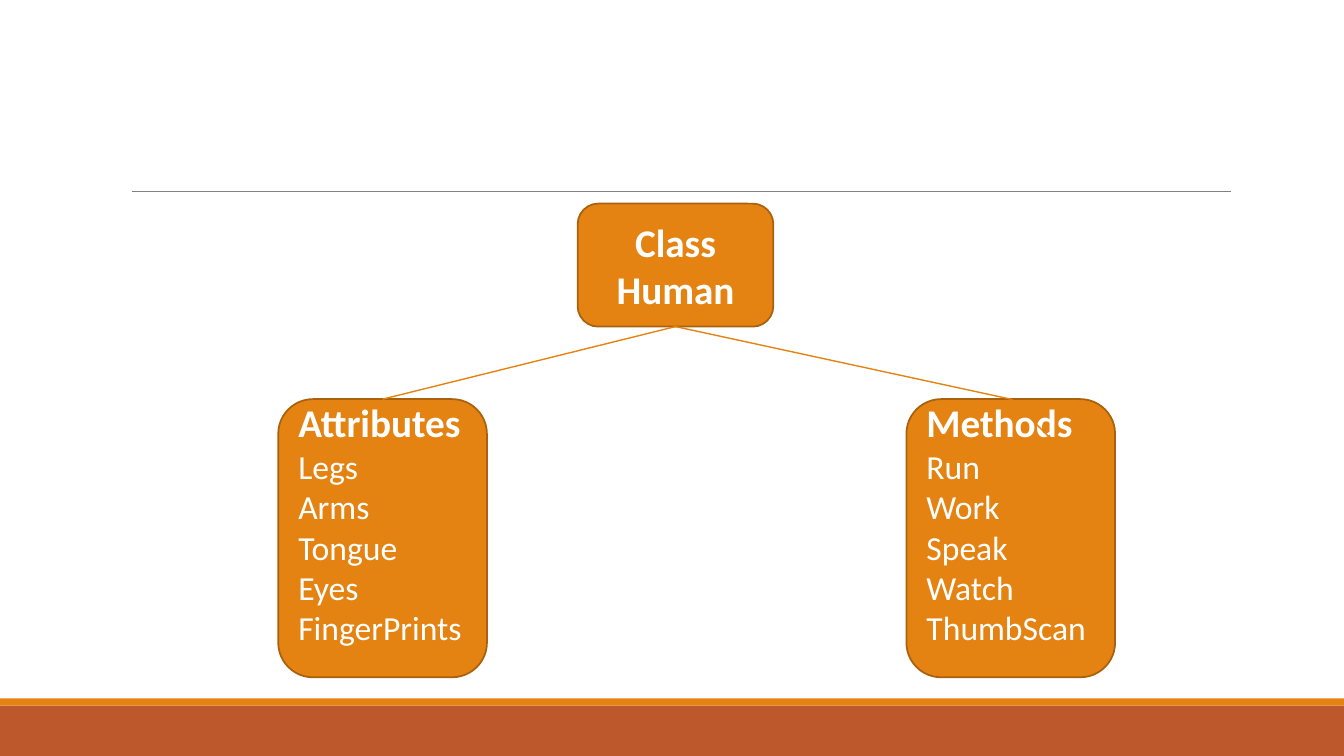
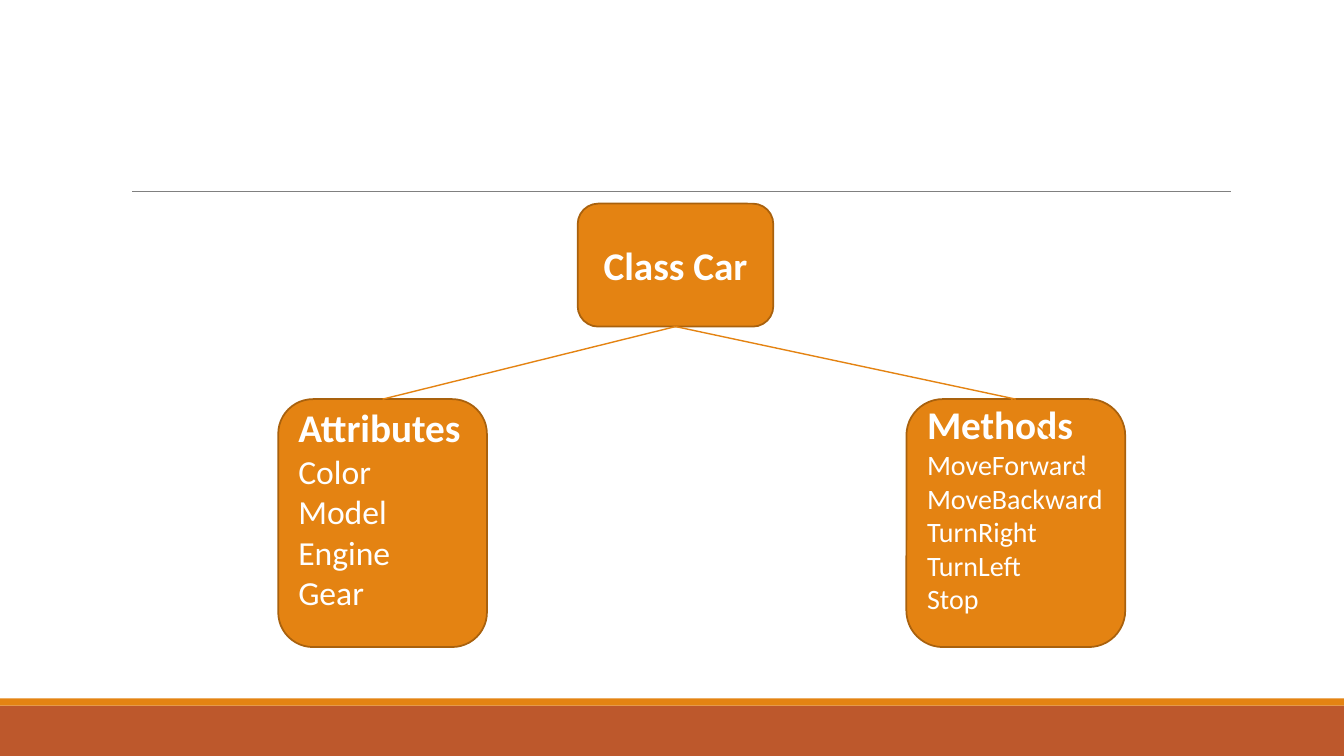
from lxml.etree import SubElement
from pptx import Presentation
from pptx.dml.color import RGBColor
from pptx.enum.shapes import MSO_CONNECTOR as Link, MSO_SHAPE as Preset
from pptx.enum.text import MSO_ANCHOR as Anchor, PP_ALIGN as Align
from pptx.oxml.ns import qn
from pptx.util import Inches, Pt

CLASSES = [
    {"name": "Class Human", "height": 2.76, "members": [
        ("Attributes", ["Legs", "Arms", "Tongue", "Eyes", "FingerPrints"], 2.07, 24),
        ("Methods", ["Run", "Work", "Speak", "Watch", "ThumbScan"], 2.07, 24)]},
    {"name": "Class Car", "height": 2.46, "members": [
        ("Attributes", ["Color", "Model", "Engine", "Gear"], 2.07, 24),
        ("Methods", ["MoveForward", "MoveBackward", "TurnRight", "TurnLeft", "Stop"], 2.17, 20)]},
]

ORANGE = RGBColor(0xE4, 0x83, 0x12)
OUTLINE = RGBColor(0xA9, 0x61, 0x0D)
RUST = RGBColor(0xBD, 0x58, 0x2C)
GRAY = RGBColor(0x80, 0x80, 0x80)
WHITE = RGBColor(0xFF, 0xFF, 0xFF)

FONT = "Calibri"
HEADING_SIZE = 28
SLIDE_W, SLIDE_H = 13.33, 7.5
FOOTER_TOP, STRIPE_H = 7, 0.07
CLASS_BOX = (5.73, 2.02, 1.94, 1.22)
MEMBER_LEFTS = (2.76, 8.99)
MEMBER_TOP = 3.96
MEMBER_BOTTOM_INSET = 0.35
TOP_SITE, BOTTOM_SITE = 0, 2
STRAY_LINE = (10.03, 3.96, 11.03, 4.96)


def add_block(slide, preset, box, fill, outline=None):
    block = slide.shapes.add_shape(preset, *map(Inches, box))
    block.shadow.inherit = False
    block.fill.solid()
    block.fill.fore_color.rgb = fill
    if outline is None:
        block.line.fill.background()
    else:
        block.line.color.rgb = outline
        block.line.width = Pt(1.25)
    return block


def add_line(slide, ends, color=ORANGE, width=1):
    line = slide.shapes.add_connector(Link.STRAIGHT, *map(Inches, ends))
    line.line.color.rgb = color
    line.line.width = Pt(width)
    SubElement(line.element.spPr, qn("a:effectLst"))
    return line


def add_box(slide, box, heading, items=(), item_size=24, align=Align.LEFT):
    rounded = add_block(slide, Preset.ROUNDED_RECTANGLE, box, ORANGE, OUTLINE)
    frame = rounded.text_frame
    frame.word_wrap = True
    frame.vertical_anchor = Anchor.MIDDLE
    if items:
        frame.margin_bottom = Inches(MEMBER_BOTTOM_INSET)
    frame.text = "\n".join([heading, *items])
    for row, paragraph in enumerate(frame.paragraphs):
        paragraph.alignment = align
        paragraph.font.name = FONT
        paragraph.font.size = Pt(item_size if row else HEADING_SIZE)
        paragraph.font.bold = row == 0
        paragraph.font.color.rgb = WHITE
    return rounded


def decorate_layout(layout, slide):
    for placeholder in list(layout.placeholders):
        placeholder.element.getparent().remove(placeholder.element)
    decorations = [
        add_block(slide, Preset.RECTANGLE, (0, FOOTER_TOP, SLIDE_W, SLIDE_H - FOOTER_TOP), RUST),
        add_block(slide, Preset.RECTANGLE, (0, FOOTER_TOP - STRIPE_H, SLIDE_W, STRIPE_H), ORANGE),
        add_line(slide, (1.31, 1.9, 12.21, 1.9), GRAY, 0.5),
    ]
    for decoration in decorations:
        layout.shapes.element.append(decoration.element)


def add_class_diagram(slide, diagram):
    class_box = add_box(slide, CLASS_BOX, diagram["name"], align=Align.CENTER)
    member_boxes = [
        add_box(slide, (left, MEMBER_TOP, width, diagram["height"]), heading, items, size)
        for left, (heading, items, width, size) in zip(MEMBER_LEFTS, diagram["members"])
    ]
    add_line(slide, STRAY_LINE)
    for member_box in member_boxes:
        branch = add_line(slide, (0, 0, 1, 1))
        branch.begin_connect(class_box, BOTTOM_SITE)
        branch.end_connect(member_box, TOP_SITE)


def main():
    deck = Presentation()
    deck.slide_width, deck.slide_height = Inches(SLIDE_W), Inches(SLIDE_H)
    layout = deck.slide_layouts.get_by_name("Blank")
    slides = [deck.slides.add_slide(layout) for _ in CLASSES]
    decorate_layout(layout, slides[0])
    for slide, diagram in zip(slides, CLASSES):
        add_class_diagram(slide, diagram)
    deck.save("out.pptx")


if __name__ == "__main__":
    main()
